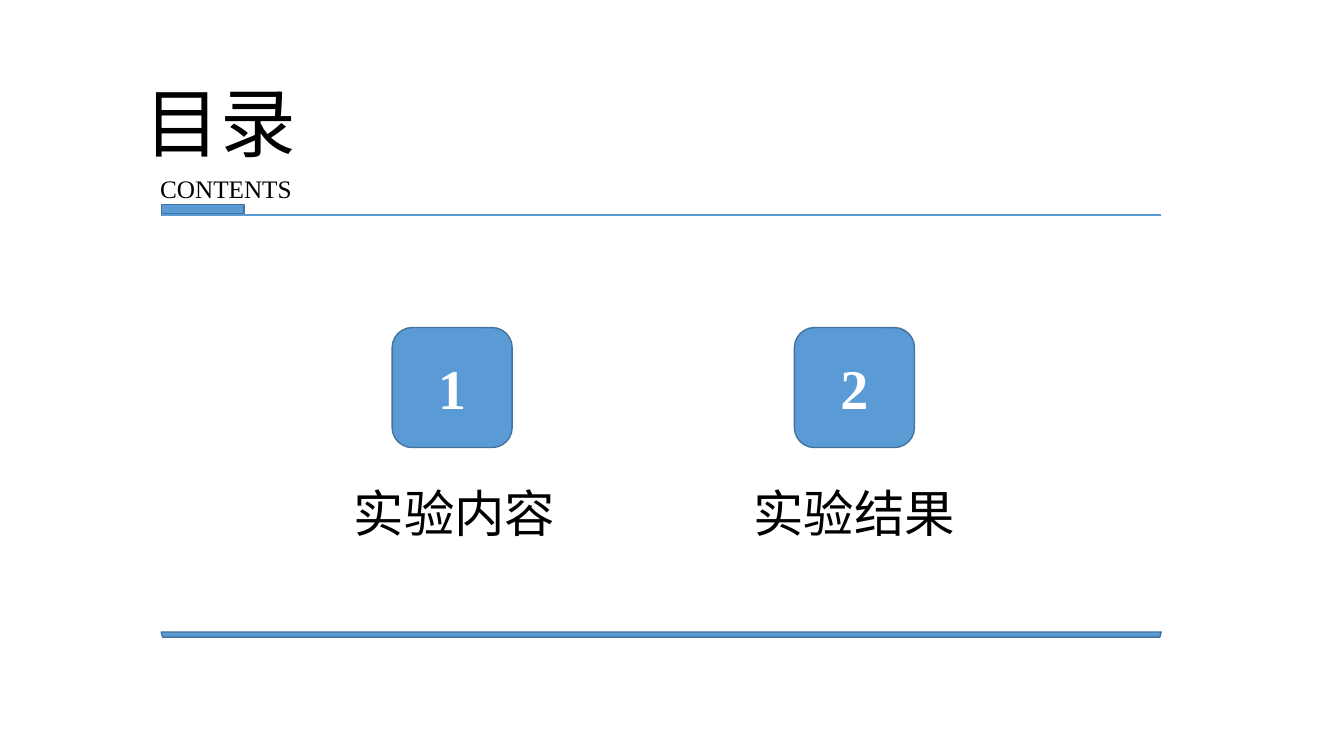
from dataclasses import dataclass

from lxml import etree
from pptx import Presentation
from pptx.dml.color import RGBColor
from pptx.enum.shapes import MSO_CONNECTOR, MSO_SHAPE
from pptx.enum.text import MSO_ANCHOR, MSO_AUTO_SIZE, PP_ALIGN
from pptx.oxml.ns import qn
from pptx.util import Inches, Pt

RECT, ROUNDED = MSO_SHAPE.RECTANGLE, MSO_SHAPE.ROUNDED_RECTANGLE
TRAPEZOID = MSO_SHAPE.TRAPEZOID
STRAIGHT = MSO_CONNECTOR.STRAIGHT
LEFT, CENTER = PP_ALIGN.LEFT, PP_ALIGN.CENTER
MIDDLE = MSO_ANCHOR.MIDDLE
GROW = MSO_AUTO_SIZE.SHAPE_TO_FIT_TEXT


@dataclass(frozen=True)
class Theme:
    font: str = "Times New Roman"
    accent: RGBColor = RGBColor(0x5B, 0x9B, 0xD5)
    outline: RGBColor = RGBColor(0x43, 0x73, 0x9E)
    ink: RGBColor = RGBColor(0, 0, 0)
    paper: RGBColor = RGBColor(0xFF, 0xFF, 0xFF)
    title: int = 54
    number: int = 40
    label: int = 36
    subtitle: int = 18
    rule: float = 1.5
    border: float = 1


class Deck:
    """Draws themed elements placed by percentages of the slide's size."""

    def __init__(self, theme):
        self.theme = theme
        self.prs = Presentation()
        self.prs.slide_width, self.prs.slide_height = Inches(13.33), Inches(7.5)
        self.s = self.prs.slides.add_slide(self.prs.slide_layouts[6])

    def place(self, x, y, w, h):
        width, height = self.prs.slide_width, self.prs.slide_height
        return [int(share * size / 100) for share, size in
                ((x, width), (y, height), (w, width), (h, height))]

    def set_text(self, sp, text, size, color, align=LEFT, bold=False):
        p = sp.text_frame.paragraphs[0]
        p.text = text
        p.alignment = align
        font = p.runs[0].font
        font.name, font.size, font.bold = self.theme.font, Pt(size), bold
        font.color.rgb = color

    def rule(self, x, y, w):
        left, top, width, _ = self.place(x, y, w, 0)
        line = self.s.shapes.add_connector(STRAIGHT, left, top, left + width, top)
        line.line.color.rgb = self.theme.accent
        line.line.width = Pt(self.theme.rule)
        etree.SubElement(line._element.spPr, qn("a:effectLst"))

    def shape(self, kind, *box):
        sp = self.s.shapes.add_shape(kind, *self.place(*box))
        sp.shadow.inherit = False
        sp.fill.solid()
        sp.fill.fore_color.rgb = self.theme.accent
        sp.line.color.rgb = self.theme.outline
        sp.line.width = Pt(self.theme.border)
        return sp

    def badge(self, number, *box):
        sp = self.shape(ROUNDED, *box)
        sp.text_frame.vertical_anchor = MIDDLE
        self.set_text(sp, number, self.theme.number, self.theme.paper, CENTER, True)

    def text(self, text, size, *box, align=LEFT, wrap=True):
        sp = self.s.shapes.add_textbox(*self.place(*box))
        sp.text_frame.word_wrap = wrap
        sp.text_frame.auto_size = GROW
        self.set_text(sp, text, size, self.theme.ink, align)


def main():
    theme = Theme()
    deck = Deck(theme)
    margin, content = 12, 74.4

    deck.rule(margin, 28.4, content)
    deck.shape(RECT, margin, 27.07, 6.15, 1.2)
    deck.text("目录", theme.title, 10.05, 9.33, 16.28, 13.47)
    deck.text("CONTENTS", theme.subtitle, 11.18, 22.27, 11.4, 5.33, wrap=False)

    entries = [("实验内容", 25.57, 23.1, LEFT), ("实验结果", 55.13, 16.88, CENTER)]
    for i, (label, x, w, align) in enumerate(entries):
        deck.badge(str(i + 1), 29.18 + 29.93 * i, 43.33, 8.93, 15.87)
        deck.text(label, theme.label, x, 63.1, w, 9.47, align=align)

    deck.shape(TRAPEZOID, margin, 83.6, content, 0.67).rotation = 180
    deck.prs.save("out.pptx")


if __name__ == "__main__":
    main()
